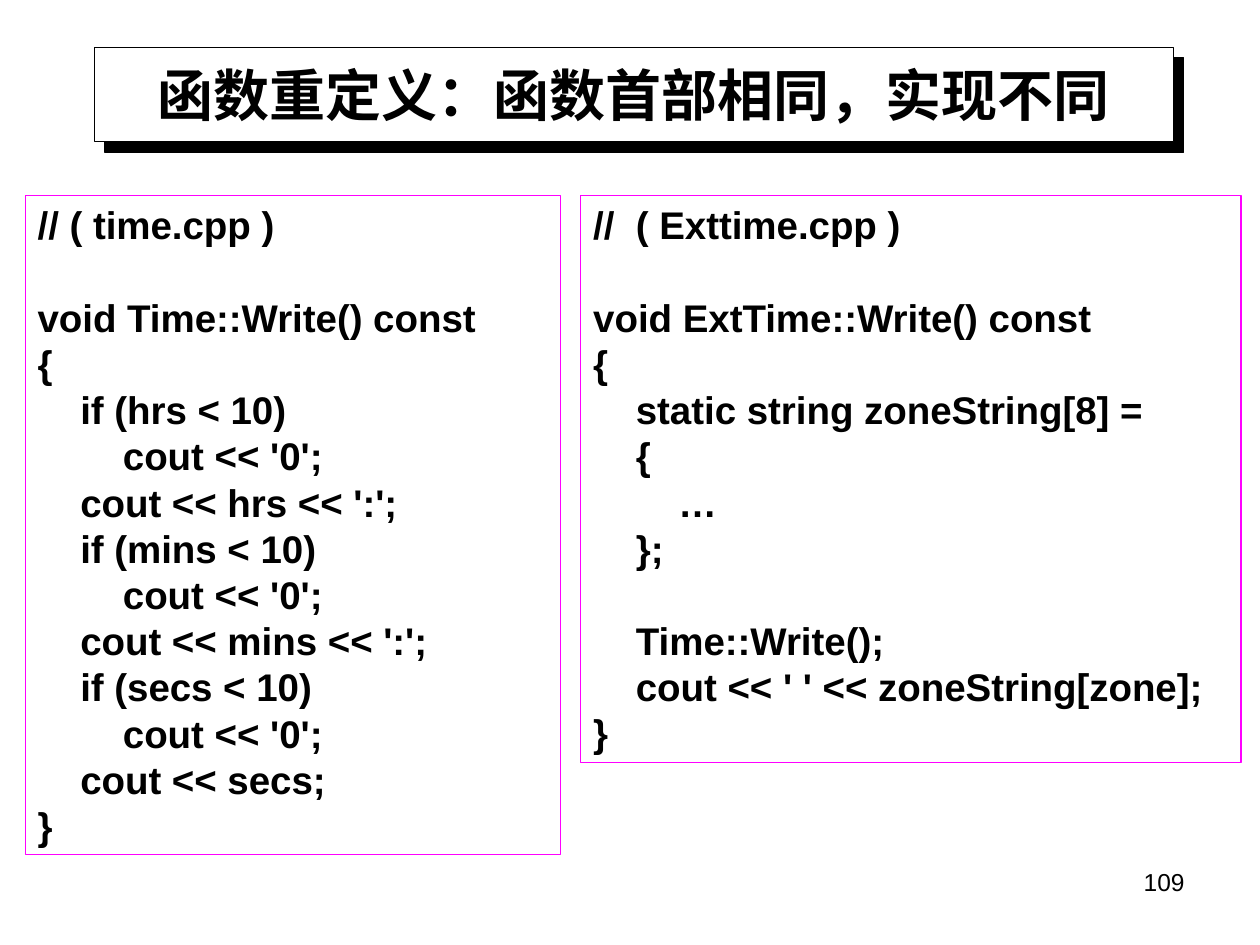
import pptx
import pptx.util
import pptx.dml.color
import pptx.enum.shapes
import pptx.enum.text
import pptx.oxml
import pptx.oxml.ns

Pt = pptx.util.Pt
RGB = pptx.dml.color.RGBColor
BLACK = RGB(0x00, 0x00, 0x00)
WHITE = RGB(0xFF, 0xFF, 0xFF)
PINK = RGB(0xFF, 0x00, 0xFF)
FONT = "Arial"
LINE = 26.4  # height of one code line

# Content
TITLE = "函数重定义：函数首部相同，实现不同"
NUMBER = "109"
TIME = """\
// ( time.cpp )

void Time::Write() const
{
    if (hrs < 10)
        cout << '0';
    cout << hrs << ':';
    if (mins < 10)
        cout << '0';
    cout << mins << ':';
    if (secs < 10)
        cout << '0';
    cout << secs;
}"""
EXT = """\
//  ( Exttime.cpp )

void ExtTime::Write() const
{
    static string zoneString[8] =
    {
        …
    };

    Time::Write();
    cout << ' ' << zoneString[zone];
}"""
PANELS = [(14.4, 306, TIME), (331.9, 377.3, EXT)]  # left, width, code
TOP = 111.6

SHADOW = (
    '<a:effectLst %s><a:outerShdw dist="107950" dir="2700000" algn="ctr" rotWithShape="0">'
    '<a:srgbClr val="000000"/></a:outerShdw></a:effectLst>' % pptx.oxml.ns.nsdecls("a")
)


def style(par, size, bold, align):
    par.alignment = align
    par.font.name = FONT
    par.font.size = Pt(size)
    par.font.bold = bold
    par.font.color.rgb = BLACK


def place(shape, left, top, width, height):
    shape.left, shape.top = Pt(left), Pt(top)
    shape.width, shape.height = Pt(width), Pt(height)


def add_code(slide, left, width, code):
    lines = code.split("\n")
    box = slide.shapes.add_shape(
        pptx.enum.shapes.MSO_SHAPE.RECTANGLE,
        Pt(left), Pt(TOP), Pt(width), Pt(len(lines) * LINE + 7.2))
    box.shadow.inherit = False
    box.fill.background()
    box.line.color.rgb = PINK
    box.line.width = Pt(0.75)
    frame = box.text_frame
    frame.word_wrap = True
    frame.vertical_anchor = pptx.enum.text.MSO_ANCHOR.TOP
    par, gap = frame.paragraphs[0], 0
    for row, text in enumerate(lines):
        if not text:  # an empty code line becomes space before the next
            gap += LINE
            continue
        if row:
            par = frame.add_paragraph()
        par.text = text
        par.line_spacing = Pt(LINE)
        par.space_before = Pt(gap)
        style(par, 22, True, pptx.enum.text.PP_ALIGN.LEFT)
        gap = 0


def main():
    deck = pptx.Presentation()
    deck.slide_width, deck.slide_height = Pt(720), Pt(540)
    slide = deck.slides.add_slide(deck.slide_layouts[5])

    # Title in a framed box with a hard shadow
    title = slide.shapes.title
    place(title, 54, 27, 616.5, 54)
    title.fill.solid()
    title.fill.fore_color.rgb = WHITE
    title.line.color.rgb = BLACK
    title.line.width = Pt(0.75)
    title.element.spPr.append(pptx.oxml.parse_xml(SHADOW))
    title.text_frame.text = TITLE
    title.text_frame.vertical_anchor = pptx.enum.text.MSO_ANCHOR.MIDDLE
    style(title.text_frame.paragraphs[0], 32, True, pptx.enum.text.PP_ALIGN.CENTER)

    # Code panels
    for left, width, code in PANELS:
        add_code(slide, left, width, code)

    # Page number
    page = slide.shapes.add_textbox(Pt(516), Pt(492), Pt(168), Pt(37.5))
    page.text_frame.word_wrap = True
    page.text_frame.text = NUMBER
    style(page.text_frame.paragraphs[0], 14, False, pptx.enum.text.PP_ALIGN.RIGHT)

    deck.save("out.pptx")


if __name__ == "__main__":
    main()
